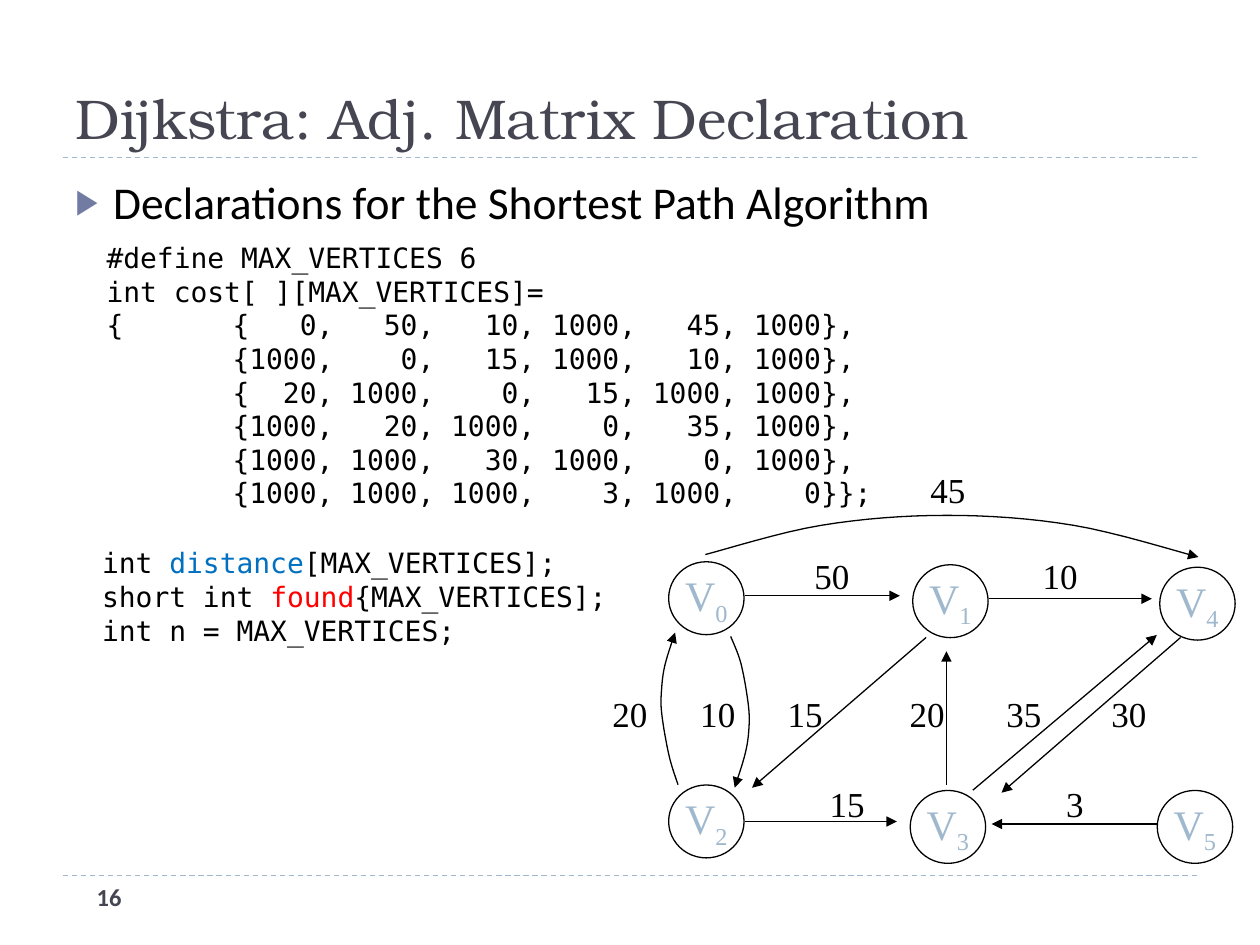
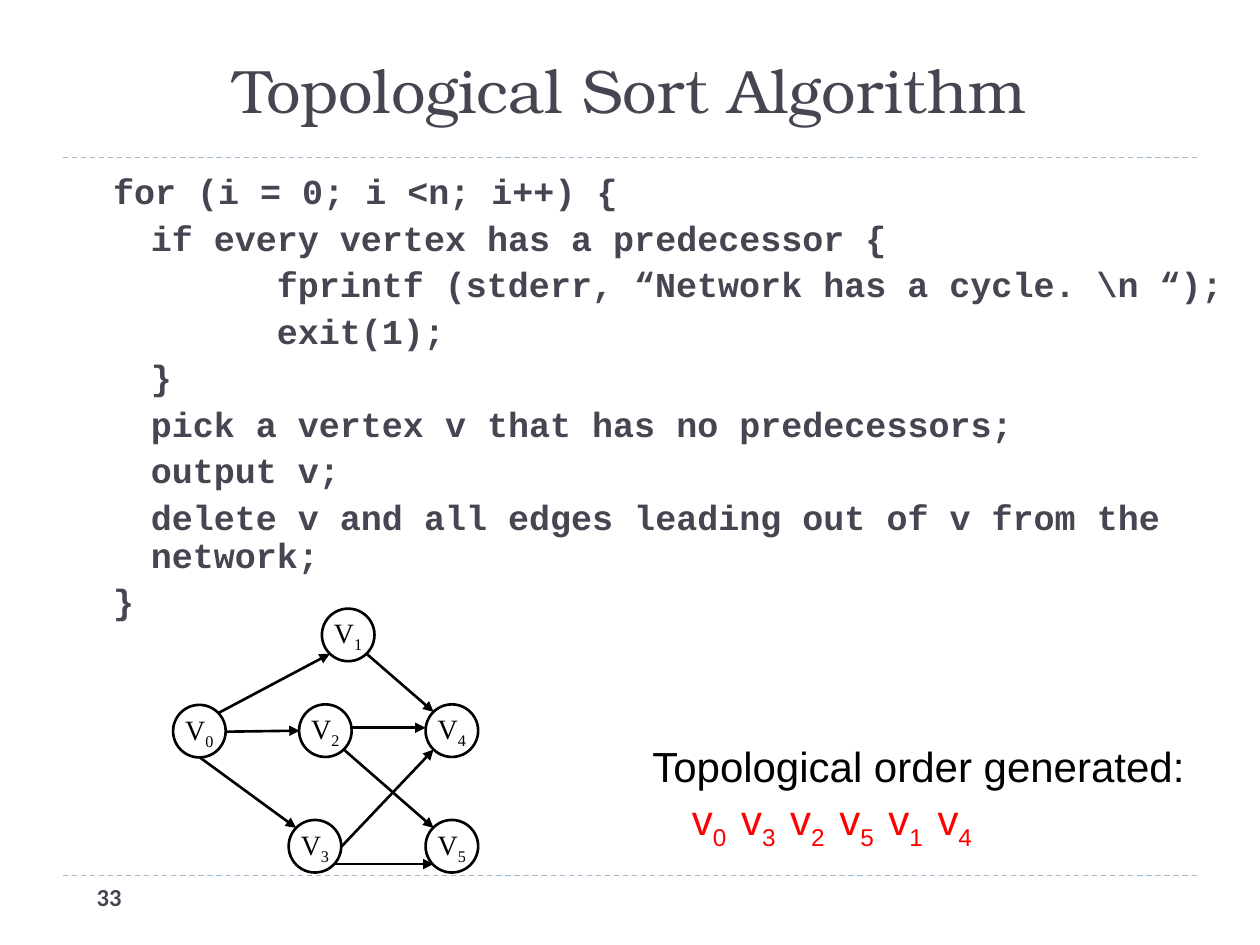
from dataclasses import dataclass, replace

from lxml import etree
from pptx import Presentation
from pptx.dml.color import RGBColor
from pptx.enum.dml import MSO_LINE
from pptx.enum.shapes import MSO_CONNECTOR, MSO_SHAPE
from pptx.enum.text import MSO_ANCHOR, PP_ALIGN
from pptx.oxml.ns import qn
from pptx.util import Cm, Pt

BLACK = RGBColor(0x00, 0x00, 0x00)
WHITE = RGBColor(0xFF, 0xFF, 0xFF)
SLATE = RGBColor(0x46, 0x46, 0x53)
PALE_BLUE = RGBColor(0x9F, 0xB8, 0xCD)
BULLET_BLUE = RGBColor(0x72, 0x7C, 0xA3)
BLUE = RGBColor(0x00, 0x70, 0xC0)
RED = RGBColor(0xFF, 0x00, 0x00)

LEFT, CENTER = PP_ALIGN.LEFT, PP_ALIGN.CENTER
TOP, MIDDLE, BOTTOM = MSO_ANCHOR.TOP, MSO_ANCHOR.MIDDLE, MSO_ANCHOR.BOTTOM
STRAIGHT, OVAL, DASH = MSO_CONNECTOR.STRAIGHT, MSO_SHAPE.OVAL, MSO_LINE.DASH


@dataclass
class Box:
    left: float
    top: float
    width: float
    height: float


@dataclass
class TextStyle:
    font: str
    size: float
    colour: RGBColor = BLACK
    bold: bool = False


@dataclass
class GraphStyle:
    node_size: tuple
    node_text: TextStyle
    line_width: float
    filled: bool


TITLE = TextStyle("TeX Gyre Bonum", 32, SLATE)
BODY = TextStyle("Calibri", 26)
CODE = TextStyle("DejaVu Sans Mono", 16)
PSEUDOCODE = TextStyle("Courier New", 20, SLATE, True)
PAGE_NUMBER = TextStyle("Calibri", 14, SLATE, True)
EDGE_LABEL = TextStyle("Times New Roman", 20)
ORDER = TextStyle("Arial", 24)

TITLE_BOX = Box(1.27, 0.43, 22.86, 2.74)
RULE_TOPS = (3.18, 17.65)

COSTS = [
    [0, 50, 10, 1000, 45, 1000],
    [1000, 0, 15, 1000, 10, 1000],
    [20, 1000, 0, 15, 1000, 1000],
    [1000, 20, 1000, 0, 35, 1000],
    [1000, 1000, 30, 1000, 0, 1000],
    [1000, 1000, 1000, 3, 1000, 0],
]

WEIGHTED_STYLE = GraphStyle((1.52, 1.47), TextStyle("Times New Roman", 24, PALE_BLUE), 0.75, True)
WEIGHTED_NODES = [(2.24, 2.66), (7.16, 2.72), (2.24, 7.16),
                  (7.11, 7.27), (12.14, 2.77), (12.09, 7.27)]
WEIGHTED_EDGES = [
    ((3.01, 2.61), (6.14, 2.61)),
    ((7.94, 2.67), (11.22, 2.67)),
    ((3.01, 7.16), (6.08, 7.16)),
    ((11.32, 7.21), (7.99, 7.21)),
    ((11.8, 3.45), (8.19, 6.58)),
    ((7.61, 6.53), (11.32, 3.4)),
    ((7.08, 6.42), (7.08, 3.73)),
    ((6.67, 3.45), (3.16, 6.48)),
]
WEIGHTED_CURVES = [
    [(2.73, 3.43), (2.94, 3.99), (3.09, 4.85), (3.09, 5.38), (3.01, 5.84), (2.81, 6.48)],
    [(1.67, 6.42), (1.49, 5.84), (1.34, 4.98), (1.34, 4.47), (1.41, 3.99), (1.61, 3.35)],
    [(2.22, 1.78), (4.56, 1.19), (7.08, 0.99), (9.64, 1.19), (12.16, 1.83)],
]
WEIGHT_ROWS = [
    (0.47, [("45", 7.11)]),
    (2.2, [("50", 4.77), ("10", 9.37)]),
    (4.99, [("20", 0.7), ("10", 2.47), ("15", 4.23),
            ("20", 6.69), ("35", 8.64), ("30", 10.76)]),
    (6.79, [("15", 5.08), ("3", 9.67)]),
]

NETWORK_STYLE = GraphStyle((1.06, 1.06), TextStyle("Times New Roman", 16), 1.5, False)
NETWORK_NODES = [(0.62, 2.54), (3.62, 0.6), (3.16, 2.53),
                 (2.95, 4.86), (5.71, 2.53), (5.71, 4.86)]
NETWORK_EDGES = [
    ((1.15, 2.55), (2.64, 2.53)),
    ((0.99, 2.18), (3.25, 0.98)),
    ((0.63, 3.07), (2.57, 4.49)),
    ((3.99, 0.98), (5.34, 2.15)),
    ((3.69, 2.47), (5.18, 2.47)),
    ((3.53, 2.91), (5.34, 4.49)),
    ((3.48, 4.87), (5.34, 2.91)),
    ((3.33, 5.22), (5.34, 5.22)),
]

PSEUDOCODE_INDENTS = (0.76, 1.52, 4.06)
PSEUDOCODE_LINES = [
    (0, "for (i = 0; i <n; i++) {"),
    (1, "if every vertex has a predecessor {"),
    (2, "fprintf (stderr, “Network has a cycle. \\n “);"),
    (2, "exit(1);"),
    (1, "}"),
    (1, "pick a vertex v that has no predecessors;"),
    (1, "output v;"),
    (1, "delete v and all edges leading out of v from the network;"),
    (0, "}"),
]


def add_run(paragraph, text, style, subscript=False):
    run = paragraph.add_run()
    run.text = text
    run.font.name = style.font
    run.font.size = Pt(style.size)
    run.font.bold = style.bold
    run.font.color.rgb = style.colour
    if subscript:
        run.font._element.set("baseline", "-25000")


def add_vertex_name(paragraph, letter, index, style):
    add_run(paragraph, letter, style)
    add_run(paragraph, str(index), style, subscript=True)


def add_text_box(slide, box, lines, style, align=LEFT, anchor=TOP, wrap=True):
    shape = slide.shapes.add_textbox(Cm(box.left), Cm(box.top), Cm(box.width), Cm(box.height))
    frame = shape.text_frame
    frame.word_wrap = wrap
    frame.vertical_anchor = anchor
    for number, line in enumerate(lines):
        paragraph = frame.add_paragraph() if number else frame.paragraphs[0]
        paragraph.alignment = align
        for text, colour in [(line, style.colour)] if isinstance(line, str) else line:
            add_run(paragraph, text, replace(style, colour=colour))
    return frame


def set_indent(paragraph, margin, first_line=0):
    properties = paragraph._p.get_or_add_pPr()
    properties.set("marL", str(Cm(margin)))
    properties.set("indent", str(Cm(first_line)))
    return properties


def set_bullet(paragraph):
    properties = set_indent(paragraph, 0.76, -0.76)
    colour = etree.SubElement(properties, qn("a:buClr"))
    etree.SubElement(colour, qn("a:srgbClr"), val=str(BULLET_BLUE))
    etree.SubElement(properties, qn("a:buSzPct"), val="76000")
    etree.SubElement(properties, qn("a:buFont"), typeface="Arial")
    etree.SubElement(properties, qn("a:buChar"), char="▶")


def set_tab_stop(paragraph, position):
    tabs = etree.SubElement(paragraph._p.get_or_add_pPr(), qn("a:tabLst"))
    etree.SubElement(tabs, qn("a:tab"), pos=str(Cm(position)), algn="l")


def set_line(shape, colour, width, arrow=False):
    shape.line.color.rgb = colour
    shape.line.width = Pt(width)
    if arrow:
        etree.SubElement(shape.line._get_or_add_ln(), qn("a:tailEnd"), type="triangle")


def add_line(slide, start, end, colour, width, arrow=False):
    connector = slide.shapes.add_connector(STRAIGHT, *(Cm(value) for value in start + end))
    set_line(connector, colour, width, arrow)
    etree.SubElement(connector._element.spPr, qn("a:effectLst"))
    return connector


def smooth_points(knots, steps=8):
    padded = [knots[0], *knots, knots[-1]]
    points = [knots[0]]
    for a, b, c, d in zip(padded, padded[1:], padded[2:], padded[3:]):
        for step in range(1, steps + 1):
            t = step / steps
            points.append(tuple(
                (2 * q + (r - p) * t + (2 * p - 5 * q + 4 * r - s) * t ** 2
                 + (3 * q - p - 3 * r + s) * t ** 3) / 2
                for p, q, r, s in zip(a, b, c, d)))
    return points


def add_curve(slide, knots, width):
    points = [(Cm(x), Cm(y)) for x, y in smooth_points(knots)]
    builder = slide.shapes.build_freeform(*points[0])
    builder.add_line_segments(points[1:], close=False)
    curve = builder.convert_to_shape()
    curve.shadow.inherit = False
    curve.fill.background()
    set_line(curve, BLACK, width, arrow=True)


def add_node(slide, center, index, style):
    width, height = style.node_size
    node = slide.shapes.add_shape(OVAL, Cm(center[0] - width / 2), Cm(center[1] - height / 2),
                                  Cm(width), Cm(height))
    node.shadow.inherit = False
    if style.filled:
        node.fill.solid()
        node.fill.fore_color.rgb = WHITE
    else:
        node.fill.background()
    set_line(node, BLACK, style.line_width)
    frame = node.text_frame
    frame.word_wrap = False
    frame.vertical_anchor = MIDDLE
    frame.paragraphs[0].alignment = CENTER
    add_vertex_name(frame.paragraphs[0], "V", index, style.node_text)


def add_graph(slide, box, style, nodes, edges, curves=(), weight_rows=()):
    def place(point):
        return box.left + point[0], box.top + point[1]

    for index, center in enumerate(nodes):
        add_node(slide, place(center), index, style)
    for start, end in edges:
        add_line(slide, place(start), place(end), BLACK, style.line_width, arrow=True)
    for knots in curves:
        add_curve(slide, [place(knot) for knot in knots], style.line_width)
    for y, weights in weight_rows:
        for weight, x in weights:
            left, top = place((x - 0.8, y - 0.55))
            add_text_box(slide, Box(left, top, 1.6, 1.1), [weight], EDGE_LABEL,
                         CENTER, MIDDLE, wrap=False)


def add_base_slide(presentation, title, style, align, anchor, number):
    slide = presentation.slides.add_slide(presentation.slide_layouts[6])
    for top in RULE_TOPS:
        rule = add_line(slide, (1.27, top), (24.13, top), PALE_BLUE, 0.75)
        rule.line.dash_style = DASH
    add_text_box(slide, TITLE_BOX, [title], style, align, anchor)
    add_text_box(slide, Box(1.7, 17.65, 5.5, 1.02), [str(number)], PAGE_NUMBER)
    return slide


def add_cost_declaration(slide, box):
    rows = ["{" + ", ".join(f"{cost:>4}" for cost in row) + "}" for row in COSTS]
    matrix = ["\t" + row + "," for row in rows]
    matrix[0] = "{" + matrix[0]
    matrix[-1] = "\t" + rows[-1] + "};"
    lines = ["#define MAX_VERTICES 6", "int cost[ ][MAX_VERTICES]=", *matrix]
    for paragraph in add_text_box(slide, box, lines, CODE).paragraphs:
        set_tab_stop(paragraph, 2.54)


def add_pseudocode(slide, box):
    frame = add_text_box(slide, box, [text for _, text in PSEUDOCODE_LINES], PSEUDOCODE)
    for paragraph, (level, _) in zip(frame.paragraphs, PSEUDOCODE_LINES):
        set_indent(paragraph, PSEUDOCODE_INDENTS[level])
        paragraph.line_spacing = 0.9
        paragraph.space_before = Pt(5)


def add_topological_order(slide, box):
    add_text_box(slide, Box(box.left, box.top, box.width, 1.3), ["Topological order generated:"], ORDER)
    for position, index in enumerate((0, 3, 2, 5, 1, 4)):
        vertex_box = Box(box.left + 0.8 + 0.99 * position, box.top + 1.07, 1.24, 1.27)
        frame = add_text_box(slide, vertex_box, [], ORDER, wrap=False)
        add_vertex_name(frame.paragraphs[0], "v", index, replace(ORDER, colour=RED))


def build_declaration_slide(presentation):
    slide = add_base_slide(presentation, "Dijkstra: Adj. Matrix Declaration", TITLE, LEFT, BOTTOM, 16)
    heading = add_text_box(slide, Box(1.27, 3.38, 22.86, 1.4),
                           ["Declarations for the Shortest Path Algorithm"], BODY)
    heading.paragraphs[0].space_before = Pt(6)
    set_bullet(heading.paragraphs[0])
    add_cost_declaration(slide, Box(1.9, 4.73, 17.6, 6.4))
    add_graph(slide, Box(12, 9.4, 13, 8.1), WEIGHTED_STYLE, WEIGHTED_NODES,
              WEIGHTED_EDGES, WEIGHTED_CURVES, WEIGHT_ROWS)
    add_text_box(slide, Box(1.81, 10.88, 12.7, 2.31), [
        [("int ", BLACK), ("distance", BLUE), ("[MAX_VERTICES];", BLACK)],
        [("short int ", BLACK), ("found", RED), ("{MAX_VERTICES];", BLACK)],
        "int n = MAX_VERTICES;",
    ], CODE)


def build_topological_slide(presentation):
    slide = add_base_slide(presentation, "Topological Sort Algorithm",
                           replace(TITLE, size=35), CENTER, MIDDLE, 33)
    add_pseudocode(slide, Box(1.27, 3.39, 24.13, 13.72))
    add_graph(slide, Box(3.4, 12.2, 6.4, 5.5), NETWORK_STYLE, NETWORK_NODES, NETWORK_EDGES)
    add_topological_order(slide, Box(12.9, 14.81, 12, 2.4))


def main():
    presentation = Presentation()
    presentation.slide_width = Cm(25.4)
    presentation.slide_height = Cm(19.05)
    build_declaration_slide(presentation)
    build_topological_slide(presentation)
    presentation.save("out.pptx")


if __name__ == "__main__":
    main()
